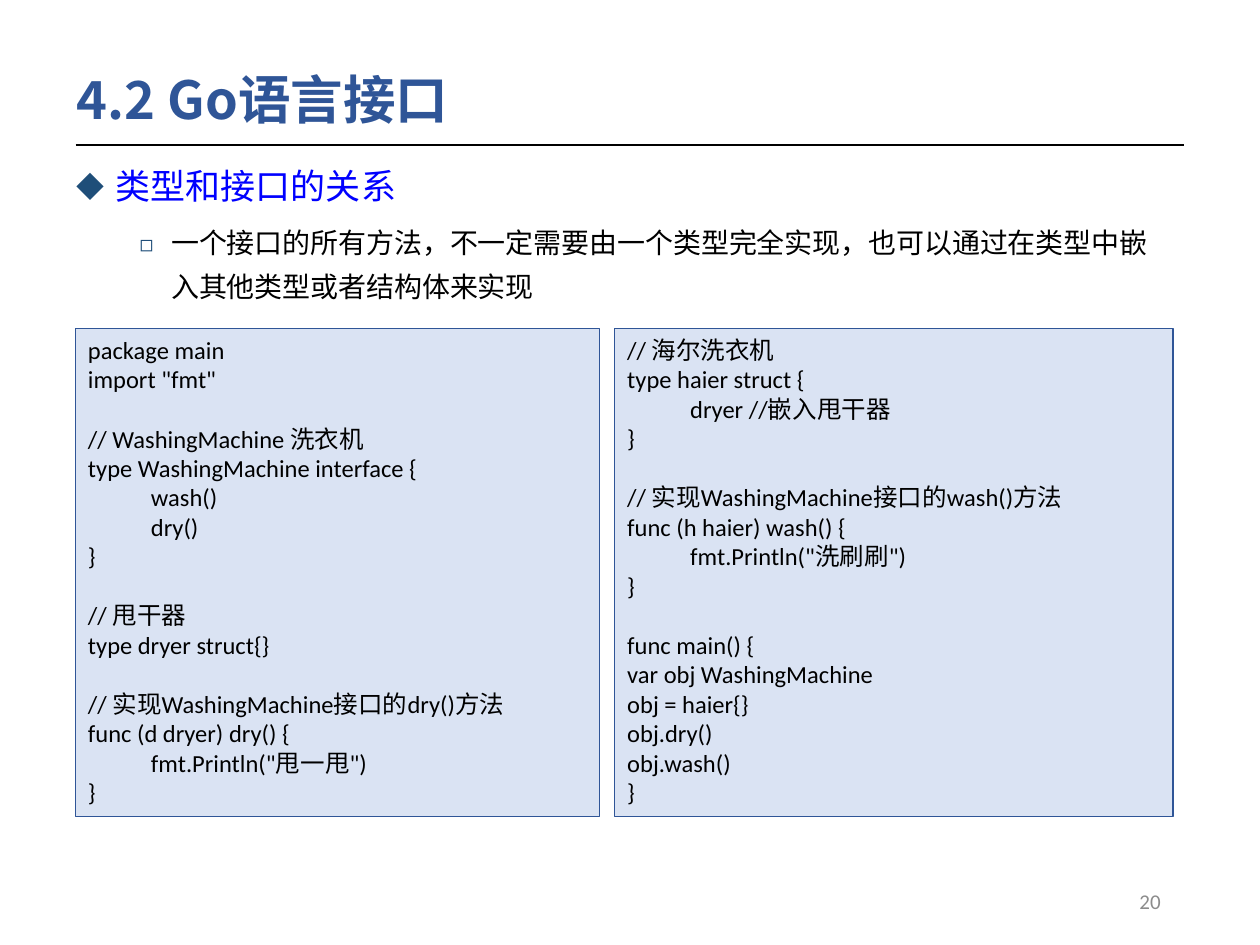
from dataclasses import dataclass
from typing import Any, NamedTuple

from lxml.etree import SubElement
from pptx import Presentation
from pptx.dml.color import RGBColor as Color
from pptx.enum.shapes import MSO_CONNECTOR as Connector, MSO_SHAPE as Preset
from pptx.enum.text import MSO_ANCHOR as Anchor, PP_ALIGN as Align
from pptx.oxml.ns import qn
from pptx.util import Inches, Pt

COLUMNS, ROWS = 100, 75


@dataclass(frozen=True)
class Theme:
    cjk: str = "Noto Sans CJK SC"
    latin: str = "Calibri"
    accent: str = "2F5597"
    bullet: str = "1F4E79"
    topic: str = "0000FF"
    ink: str = "000000"
    muted: str = "8C8C8C"
    panel: str = "DAE3F3"
    title_size: int = 30
    topic_size: int = 20
    detail_size: int = 16
    code_size: int = 14
    number_size: int = 12
    code_line: int = 17


class Area(NamedTuple):
    left: float
    top: float
    width: float
    height: float


class Point(NamedTuple):
    text: str
    bullet: str
    level: int
    margin: float
    hanging: float
    before: int
    size: int
    color: str


class Listing(NamedTuple):
    area: Area
    blocks: tuple[str, ...]


THEME = Theme()
TITLE = "4.2 Go语言接口"
POINTS = (
    Point("类型和接口的关系", "◆", 0, 0.31, 0.31, 0,
          THEME.topic_size, THEME.topic),
    Point("一个接口的所有方法，不一定需要由一个类型完全实现，也可以通过在类型中嵌入其他类型或者结构体来实现",
          "◻", 1, 0.75, 0.25, 5, THEME.detail_size, THEME.ink),
)
LISTINGS = (
    Listing(Area(6, 26.1, 41.6, 38.7), (
        'package main\nimport "fmt"',
        "// WashingMachine 洗衣机\ntype WashingMachine interface {\n\twash()\n\tdry()\n}",
        "// 甩干器\ntype dryer struct{}",
        '// 实现WashingMachine接口的dry()方法\nfunc (d dryer) dry() {\n\tfmt.Println("甩一甩")\n}',
    )),
    Listing(Area(48.8, 26.1, 44.3, 38.7), (
        "// 海尔洗衣机\ntype haier struct {\n\tdryer //嵌入甩干器\n}",
        '// 实现WashingMachine接口的wash()方法\nfunc (h haier) wash() {\n\tfmt.Println("洗刷刷")\n}',
        "func main() {\nvar obj WashingMachine\nobj = haier{}\nobj.dry()\nobj.wash()\n}",
    )),
)


def apply(target: Any, values: dict[str, Any]) -> None:
    for name, value in values.items():
        setattr(target, name, value)


def place(deck: Any, area: Area) -> tuple[int, ...]:
    column, row = deck.slide_width / COLUMNS, deck.slide_height / ROWS
    return tuple(round(share * unit) for share, unit in zip(area, (column, row) * 2))


def write(para: Any, text: str, size: int, color: str, font: str, bold: bool = False) -> None:
    span = para.add_run()
    span.text = text
    apply(span.font, {"size": Pt(size), "bold": bold, "name": font})
    span.font.color.rgb = Color.from_string(color)
    SubElement(span.font._element, qn("a:ea"), typeface=THEME.cjk)


def add_bullet(para: Any, point: Point) -> None:
    properties = para._p.get_or_add_pPr()
    properties.set("marL", str(Inches(point.margin)))
    properties.set("indent", str(-Inches(point.hanging)))
    color = SubElement(properties, qn("a:buClr"))
    SubElement(color, qn("a:srgbClr"), val=THEME.bullet)
    SubElement(properties, qn("a:buSzPct"), val="80000")
    SubElement(properties, qn("a:buFont"), typeface=THEME.cjk)
    SubElement(properties, qn("a:buChar"), char=point.bullet)


def add_tab(para: Any) -> None:
    tabs = SubElement(para._p.get_or_add_pPr(), qn("a:tabLst"))
    SubElement(tabs, qn("a:tab"), pos=str(Inches(0.5)), algn="l")


def next_para(frame: Any, index: int) -> Any:
    return frame.add_paragraph() if index else frame.paragraphs[0]


def draw_title(deck: Any, page: Any) -> None:
    title = page.shapes.title
    position = place(deck, Area(5.1, 4.8, 86.2, 6.7))
    apply(title, dict(zip(("left", "top", "width", "height"), position)))
    apply(title.text_frame, {"vertical_anchor": Anchor.MIDDLE, "word_wrap": True})
    para = title.text_frame.paragraphs[0]
    apply(para, {"alignment": Align.LEFT, "line_spacing": 0.9})
    write(para, TITLE, THEME.title_size, THEME.accent, THEME.cjk, True)


def draw_rule(deck: Any, page: Any) -> None:
    left, top, width, _ = place(deck, Area(6, 11.5, 88, 0))
    rule = page.shapes.add_connector(Connector.STRAIGHT, left, top, left + width, top)
    rule.line.color.rgb = Color.from_string(THEME.ink)
    rule.line.width = Pt(1.5)
    SubElement(rule._element.spPr, qn("a:effectLst"))


def draw_points(deck: Any, page: Any) -> None:
    box = page.shapes.add_textbox(*place(deck, Area(5.1, 11.6, 88.9, 14)))
    box.text_frame.word_wrap = True
    for index, point in enumerate(POINTS):
        para = next_para(box.text_frame, index)
        add_bullet(para, point)
        apply(para, {"level": point.level, "line_spacing": 1.3,
                     "space_before": Pt(point.before)})
        write(para, point.text, point.size, point.color, THEME.cjk)


def draw_listing(deck: Any, page: Any, listing: Listing) -> None:
    panel = page.shapes.add_shape(Preset.RECTANGLE, *place(deck, listing.area))
    panel.shadow.inherit = False
    panel.fill.solid()
    panel.fill.fore_color.rgb = Color.from_string(THEME.panel)
    panel.line.color.rgb = Color.from_string(THEME.accent)
    panel.line.width = Pt(0.75)
    frame = panel.text_frame
    apply(frame, {"word_wrap": True, "vertical_anchor": Anchor.TOP})
    lines = [(line, bool(block and not row))
             for block, code in enumerate(listing.blocks)
             for row, line in enumerate(code.split("\n"))]
    for index, (line, starts_block) in enumerate(lines):
        para = next_para(frame, index)
        add_tab(para)
        apply(para, {"alignment": Align.LEFT,
                     "space_before": Pt(THEME.code_line if starts_block else 0)})
        write(para, line, THEME.code_size, THEME.ink, THEME.latin)


def draw_number(deck: Any, page: Any) -> None:
    box = page.shapes.add_textbox(*place(deck, Area(70.6, 69.5, 22.5, 4)))
    apply(box.text_frame, {"word_wrap": True, "vertical_anchor": Anchor.MIDDLE})
    para = box.text_frame.paragraphs[0]
    para.alignment = Align.RIGHT
    write(para, "20", THEME.number_size, THEME.muted, THEME.latin)


def main() -> None:
    deck = Presentation()
    apply(deck, {"slide_width": Inches(10), "slide_height": Inches(7.5)})
    page = deck.slides.add_slide(deck.slide_layouts.get_by_name("Title Only"))
    for draw in (draw_title, draw_number, draw_rule, draw_points):
        draw(deck, page)
    for listing in LISTINGS:
        draw_listing(deck, page, listing)
    deck.save("out.pptx")


if __name__ == "__main__":
    main()
